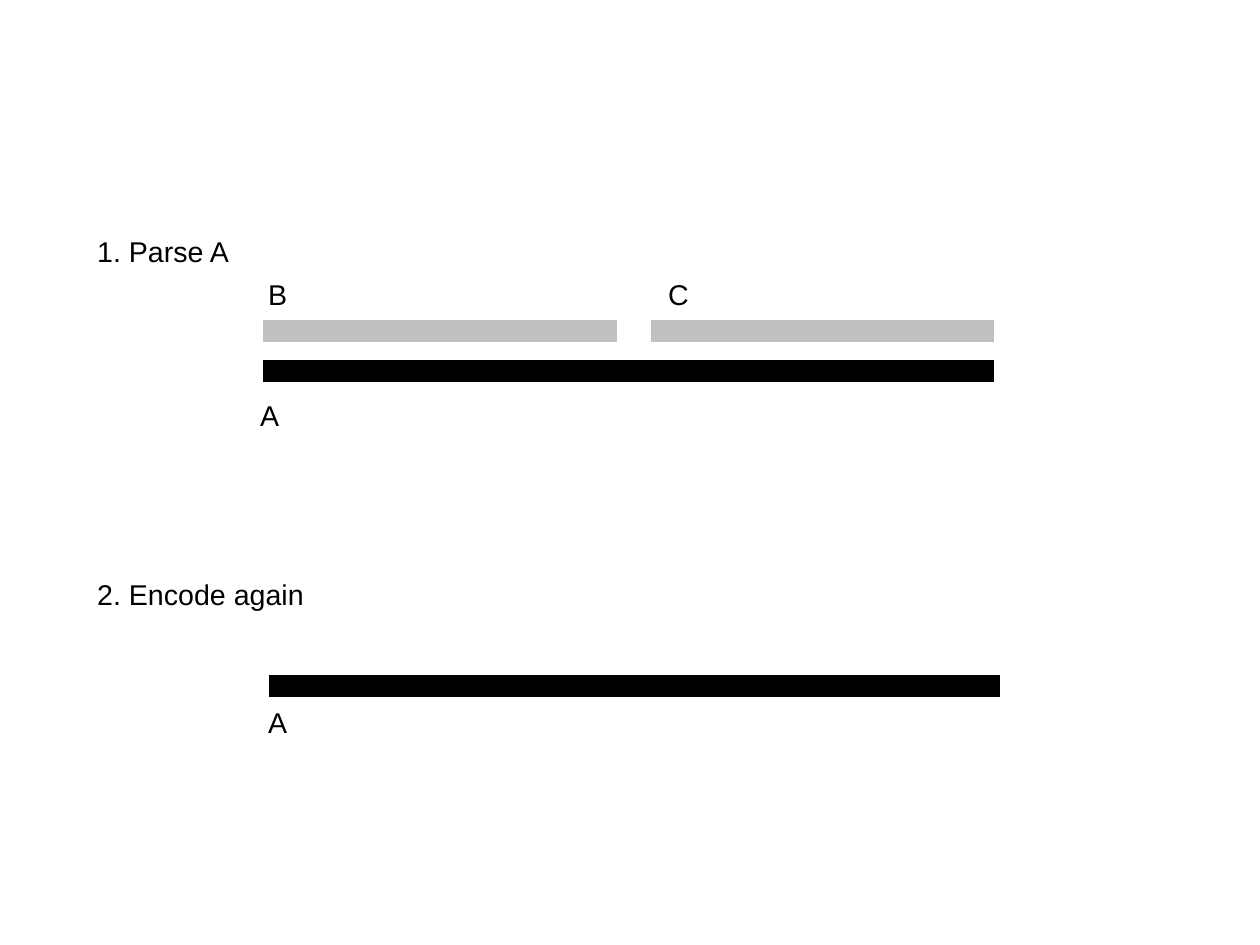
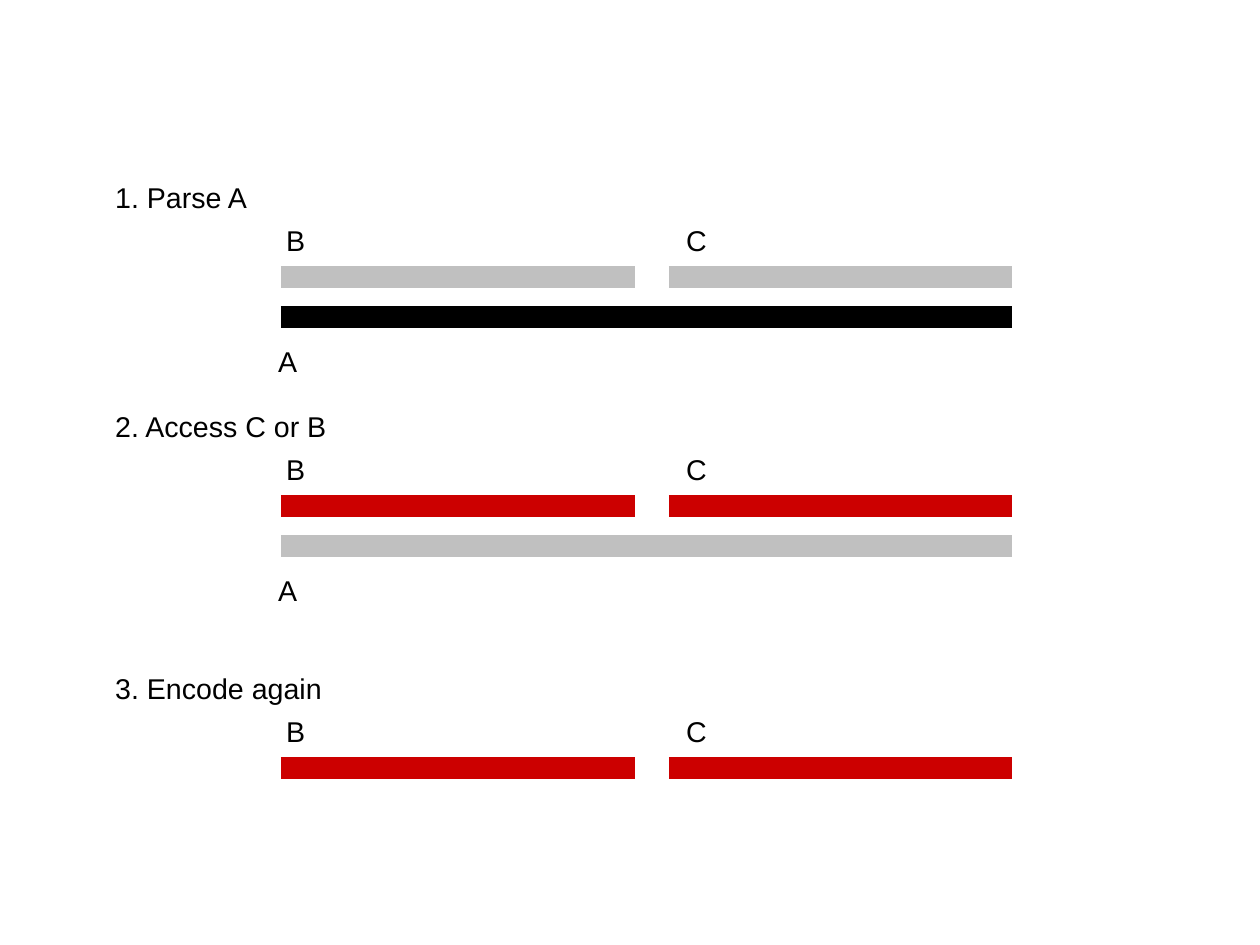
from lxml import etree
from pptx import Presentation
from pptx.dml.color import RGBColor
from pptx.enum.shapes import MSO_CONNECTOR
from pptx.enum.text import MSO_AUTO_SIZE
from pptx.oxml.ns import qn
from pptx.util import Emu, Pt

STRAIGHT = MSO_CONNECTOR.STRAIGHT
FIT_SHAPE = MSO_AUTO_SIZE.SHAPE_TO_FIT_TEXT

PX = 8000  # EMU per px; the slide is 28 by 21 cm
COLORS = {"black": "000000", "grey": "C0C0C0", "red": "CC0000"}
LABEL_WIDTHS = {"A": 41, "B": 41, "C": 43}


class Deck:
    """Holds the shared style and the current slide."""

    font, size, bar_width = "Arial", Pt(18), Pt(14.4)
    text_height = 43

    def __init__(self, width, height):
        self.prs = Presentation()
        self.prs.slide_width, self.prs.slide_height = Emu(width * PX), Emu(height * PX)
        self.slide = None

    def new_slide(self):
        self.slide = self.prs.slides.add_slide(self.prs.slide_layouts[6])

    def color(self, name):
        return RGBColor.from_string(COLORS[name])

    def bar(self, left, right, y, color):
        bar = self.slide.shapes.add_connector(
            STRAIGHT, *(Emu(v * PX) for v in (left, y, right, y)))
        bar.line.color.rgb = self.color(color)
        bar.line.width = self.bar_width
        etree.SubElement(bar.element.spPr, qn("a:effectLst"))

    def text(self, words, left, top, width, wrap=False):
        box = self.slide.shapes.add_textbox(
            *(Emu(v * PX) for v in (left, top, width, self.text_height)))
        frame = box.text_frame
        frame.word_wrap = wrap
        frame.auto_size = FIT_SHAPE
        paragraph = frame.paragraphs[0]
        paragraph.text = words
        font = paragraph.font
        font.name, font.size = self.font, self.size
        font.color.rgb = self.color("black")

    def label(self, letter, left, top):
        self.text(letter, left, top, LABEL_WIDTHS[letter])

    def heading(self, words, left, top):
        self.text(words, left, top, 286, wrap=True)

    # Whole A below its parts B and C; offsets count from the heading
    def step(self, title, left, top, parts_color, whole_color=None):
        if whole_color:
            self.bar(left + 177, left + 908, top + 143, whole_color)
        for start, end in ((177, 531), (565, 908)):
            self.bar(left + start, left + end, top + 103, parts_color)
        if whole_color:
            self.label("A", left + 163, top + 164)
        for letter, offset in (("B", 171), ("C", 571)):
            self.label(letter, left + offset, top + 43)
        self.heading(title, left, top)


def main():
    deck = Deck(1260, 945)

    # Slide 1: parse and encode without access
    deck.new_slide()
    deck.step("1. Parse A", 86, 228, "grey", "black")
    deck.bar(269, 1000, 686, "black")
    deck.label("A", 257, 699)
    deck.heading("2. Encode again", 86, 571)

    # Slide 2: parse, access a part, encode
    deck.new_slide()
    for title, top, parts_color, whole_color in (
        ("1. Parse A", 174, "grey", "black"),
        ("2. Access C or B", 403, "red", "grey"),
        ("3. Encode again", 665, "red", None),
    ):
        deck.step(title, 104, top, parts_color, whole_color)

    deck.prs.save("out.pptx")


if __name__ == "__main__":
    main()
